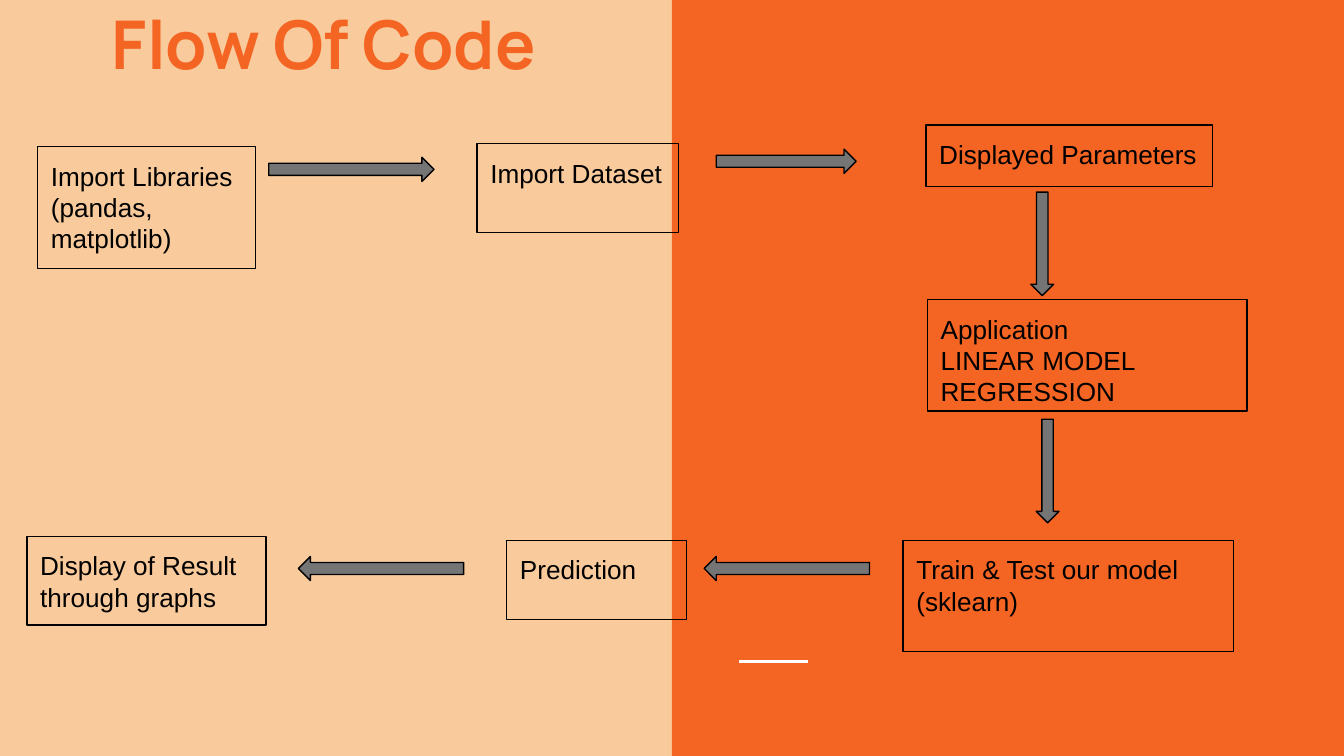
from dataclasses import dataclass

from lxml import etree
from pptx import Presentation
from pptx.dml.color import RGBColor
from pptx.enum.shapes import MSO_CONNECTOR, MSO_SHAPE as SHAPE
from pptx.enum.text import MSO_ANCHOR as ANCHOR, MSO_AUTO_SIZE, PP_ALIGN as ALIGN
from pptx.oxml.ns import qn
from pptx.util import Inches, Pt


@dataclass(frozen=True)
class Theme:
    peach: RGBColor = RGBColor.from_string("F9CB9C")
    orange: RGBColor = RGBColor.from_string("F46524")
    grey: RGBColor = RGBColor.from_string("757575")
    black: RGBColor = RGBColor.from_string("000000")
    white: RGBColor = RGBColor.from_string("FFFFFF")
    title_font: str = "Manrope"
    body_font: str = "Arial"
    title_size: Pt = Pt(36)
    body_size: Pt = Pt(14)
    outline: Pt = Pt(0.75)
    accent: Pt = Pt(1.5)


theme = Theme()


def add_box(kind, box, fill=None, line=None):
    sp = slide.shapes.add_shape(kind, *map(Inches, box))
    sp.shadow.inherit = False
    if fill is None:
        sp.fill.background()
    else:
        sp.fill.solid()
        sp.fill.fore_color.rgb = fill
    if line is None:
        sp.line.fill.background()
    else:
        sp.line.color.rgb = line
        sp.line.width = theme.outline
    return sp


def write(tf, lines, font, size, color, bold=False, align=ALIGN.LEFT, anchor=ANCHOR.TOP):
    tf.word_wrap = True
    tf.auto_size = MSO_AUTO_SIZE.NONE
    tf.vertical_anchor = anchor
    tf.margin_left = tf.margin_right = tf.margin_top = tf.margin_bottom = Inches(0.1)
    for i, text in enumerate(lines):
        p = tf.paragraphs[0] if i == 0 else tf.add_paragraph()
        p.alignment = align
        r = p.add_run()
        r.text = text
        r.font.name, r.font.size, r.font.bold = font, size, bold
        r.font.color.rgb = color


prs = Presentation()
prs.slide_width = Inches(10)
prs.slide_height = prs.slide_width * 9 // 16
slide = prs.slides.add_slide(prs.slide_layouts[5])
slide.background.fill.solid()
slide.background.fill.fore_color.rgb = theme.peach

# Right half and its accent line
panel = add_box(SHAPE.RECTANGLE, (5, 0, 5, 5), fill=theme.orange)
panel.height = prs.slide_height
accent = slide.shapes.add_connector(
    MSO_CONNECTOR.STRAIGHT, Inches(5.5), Inches(4.92), Inches(6.01), Inches(4.92))
accent.line.color.rgb = theme.white
accent.line.width = theme.accent
etree.SubElement(accent.element.spPr, qn("a:effectLst"))

# Title
title = slide.shapes.title
title.left, title.top, title.width, title.height = map(Inches, (0.2, 0.13, 4.42, 0.59))
write(title.text_frame, ["Flow Of Code"], theme.title_font, theme.title_size,
      theme.orange, bold=True, align=ALIGN.CENTER, anchor=ANCHOR.BOTTOM)

# Steps, in the order of the flow
steps = [
    ((0.28, 1.09, 1.62, 0.91), ["Import Libraries", "(pandas, matplotlib)"]),
    ((3.55, 1.07, 1.5, 0.66), ["Import Dataset"]),
    ((6.89, 0.93, 2.13, 0.46), ["Displayed Parameters"]),
    ((6.9, 2.23, 2.38, 0.83), ["Application", "LINEAR MODEL REGRESSION"]),
    ((6.72, 4.02, 2.46, 0.83), ["Train & Test our model", "(sklearn)"]),
    ((3.77, 4.02, 1.34, 0.59), ["Prediction"]),
    ((0.2, 3.99, 1.78, 0.66), ["Display of Result through graphs"]),
]
for box, lines in steps:
    sp = add_box(SHAPE.RECTANGLE, box, line=theme.black)
    write(sp.text_frame, lines, theme.body_font, theme.body_size, theme.black)

# Block arrows between the steps
arrows = [
    (SHAPE.RIGHT_ARROW, (2, 1.17, 1.23, 0.18)),
    (SHAPE.RIGHT_ARROW, (5.33, 1.11, 1.04, 0.18)),
    (SHAPE.DOWN_ARROW, (7.67, 1.43, 0.17, 0.77)),
    (SHAPE.DOWN_ARROW, (7.71, 3.12, 0.17, 0.77)),
    (SHAPE.LEFT_ARROW, (5.24, 4.14, 1.23, 0.18)),
    (SHAPE.LEFT_ARROW, (2.22, 4.14, 1.23, 0.18)),
]
for kind, box in arrows:
    add_box(kind, box, fill=theme.grey, line=theme.black)

prs.save("out.pptx")
